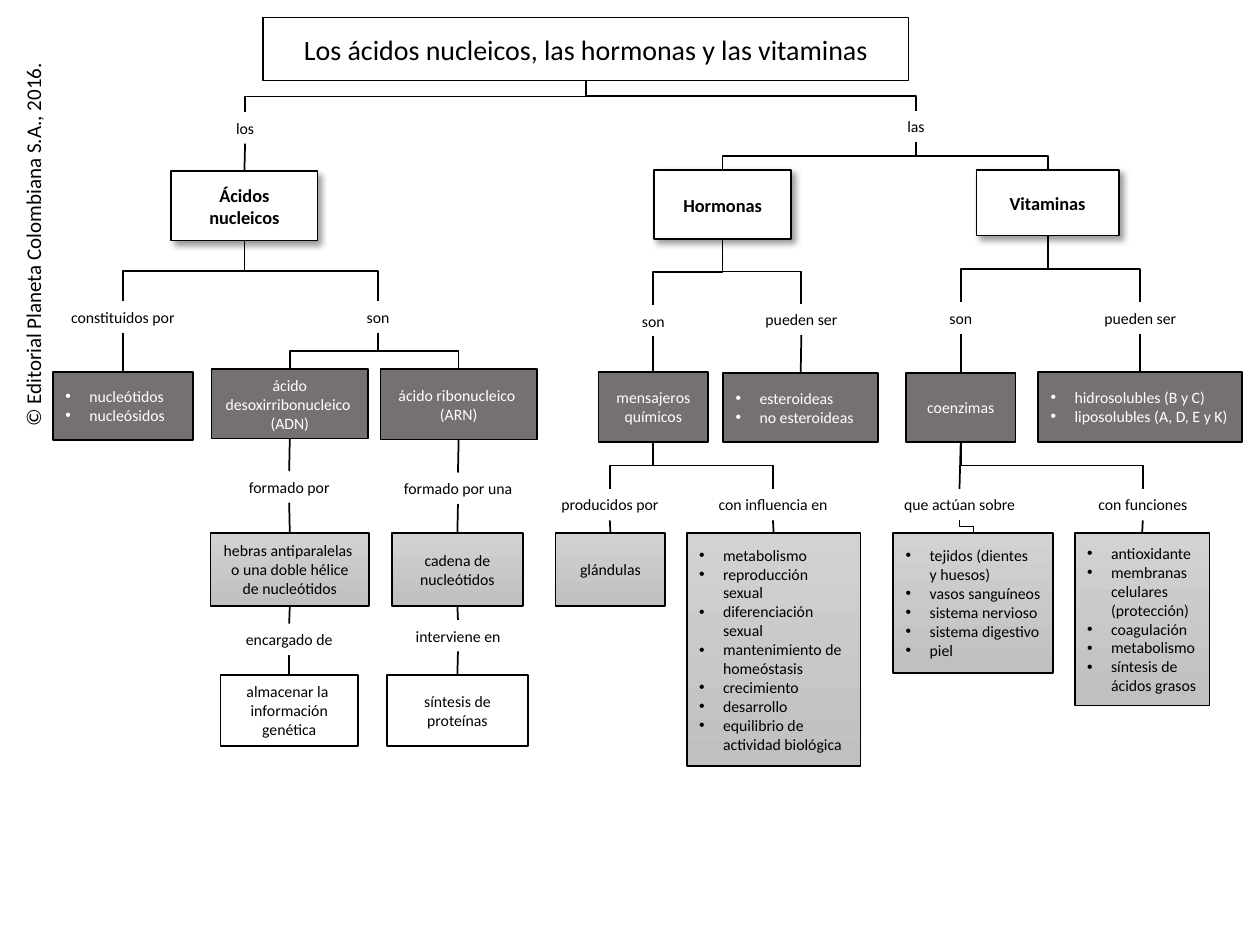
from lxml import etree
from pptx import Presentation, util as u
from pptx.dml import color
from pptx.enum import shapes, text
from pptx.oxml import ns

COLORS = {"ink": "000000", "paper": "FFFFFF", "dark": "767171",
          "light_top": "D2D2D2", "light_bottom": "C0C0C0"}
COLUMNS, ROWS = 100, 75


def rgb(name):
    return color.RGBColor.from_string(COLORS[name])


def add_child(parent, tag, **attributes):
    return etree.SubElement(parent, ns.qn(tag), attributes)


class ConceptMap:
    """Holds the style and the page of a concept map, measured in columns and rows."""

    def __init__(self, font="Calibri", size=9, stroke=1):
        self.deck = Presentation()
        self.deck.slide_width, self.deck.slide_height = u.Inches(10), u.Inches(7.5)
        self.page = self.deck.slides.add_slide(self.deck.slide_layouts[6])
        self.font, self.size, self.stroke = font, size, u.Pt(stroke)

    def place(self, left, top, width, height):
        column, row = self.deck.slide_width / COLUMNS, self.deck.slide_height / ROWS
        return [round(n) for n in (left * column, top * row, width * column, height * row)]

    def fill_text(self, box, words, ink="ink", size=None, bold=False, bullets=False):
        frame = box.text_frame
        frame.text = words
        frame.vertical_anchor = text.MSO_ANCHOR.MIDDLE
        for para in frame.paragraphs:
            para.alignment = text.PP_ALIGN.LEFT if bullets else text.PP_ALIGN.CENTER
            if bullets:
                props = para._p.get_or_add_pPr()
                indent = u.Inches(0.19)
                props.set("marL", str(indent))
                props.set("indent", str(-indent))
                add_child(props, "a:buFont", typeface="Arial")
                add_child(props, "a:buChar", char="•")
            for span in para.runs:
                span.font.name, span.font.bold = self.font, bold
                span.font.size = u.Pt(size or self.size)
                span.font.color.rgb = rgb(ink)

    def box(self, parent, at, words, fill="paper", shadow=False, **style):
        box = self.page.shapes.add_shape(shapes.MSO_SHAPE.RECTANGLE, *self.place(*at))
        if fill == "light":
            box.fill.gradient()
            box.fill.gradient_angle = 270
            for stop, name in zip(box.fill.gradient_stops, ("light_top", "light_bottom")):
                stop.color.rgb = rgb(name)
        else:
            box.fill.solid()
            box.fill.fore_color.rgb = rgb(fill)
        box.line.color.rgb, box.line.width = rgb("ink"), self.stroke
        box.shadow.inherit = False
        if shadow:
            effects = box._element.spPr.find(ns.qn("a:effectLst"))
            cast = add_child(effects, "a:outerShdw", blurRad=str(u.Pt(4)), dist=str(u.Pt(3)),
                             dir="2700000", algn="tl", rotWithShape="0")
            tone = add_child(cast, "a:srgbClr", val=COLORS["ink"])
            add_child(tone, "a:alpha", val="40000")
        self.fill_text(box, words, ink="paper" if fill == "dark" else "ink", **style)
        self.link(parent, box)
        return box

    def label(self, parent, left, top, width, words, **style):
        label = self.page.shapes.add_textbox(*self.place(left, top, width, 2.5))
        label.text_frame.word_wrap = False
        label.text_frame.auto_size = text.MSO_AUTO_SIZE.SHAPE_TO_FIT_TEXT
        self.fill_text(label, words, **style)
        self.link(parent, label)
        return label

    def link(self, parent, child):
        if parent is None:
            return
        x1, y1 = parent.left + parent.width // 2, parent.top + parent.height
        x2, y2 = child.left + child.width // 2, child.top
        across, down = abs(x2 - x1), y2 - y1
        if across < u.Inches(0.05):
            line = self.page.shapes.add_connector(shapes.MSO_CONNECTOR.STRAIGHT, x1, y1, x2, y2)
        else:
            left, top = (x1 + x2 - down) // 2, (y1 + y2 - across) // 2
            ends = [left, left + down] if x2 < x1 else [left + down, left]
            line = self.page.shapes.add_connector(
                shapes.MSO_CONNECTOR.ELBOW, ends[0], top, ends[1], top + across)
            turn = 90 if x2 < x1 else 270
            line._element.spPr.find(ns.qn("a:xfrm")).set("rot", str(turn * 60000))
        line.line.color.rgb, line.line.width = rgb("ink"), self.stroke
        add_child(line._element.spPr, "a:effectLst")


def draw_acids(chart, title):
    los = chart.label(title, 17.7, 8.9, 3.5, "los")
    acids = chart.box(los, (13.6, 13.6, 11.6, 5.5), "Ácidos nucleicos",
                      shadow=True, size=10.5, bold=True)
    made_of = chart.label(acids, 4.6, 23.9, 10.3, "constituidos por")
    chart.box(made_of, (4.2, 29.5, 11.1, 5.4), "nucleótidos\nnucleósidos", "dark", bullets=True)
    are = chart.label(acids, 28.1, 23.9, 3.8, "son")
    dna = chart.box(are, (16.8, 29.3, 12.4, 5.5), "ácido desoxirribonucleico \n(ADN)", "dark")
    formed = chart.label(dna, 18.7, 37.4, 8.5, "formado por")
    strands = chart.box(formed, (16.7, 42.3, 12.6, 5.8),
                        "hebras antiparalelas \no una doble hélice de nucleótidos", "light")
    task = chart.label(strands, 18.3, 49.5, 9.3, "encargado de")
    chart.box(task, (17.5, 53.6, 10.9, 5.6), "almacenar la \ninformación genética")
    rna = chart.box(are, (30.2, 29.3, 12.4, 5.6), "ácido ribonucleico \n(ARN)", "dark")
    formed = chart.label(rna, 31, 37.5, 10.7, "formado por una")
    chain = chart.box(formed, (31.1, 42.3, 10.4, 5.8), "cadena de nucleótidos", "light")
    task = chart.label(chain, 31.9, 49.2, 8.9, "interviene en")
    chart.box(task, (30.7, 53.6, 11.2, 5.6), "síntesis de proteínas")


def draw_hormones(chart, las):
    hormones = chart.box(las, (51.9, 13.5, 10.9, 5.5), "Hormonas",
                         shadow=True, size=10.5, bold=True)
    are = chart.label(hormones, 48.1, 24.2, 7.5, "son")
    messengers = chart.box(are, (47.5, 29.5, 8.7, 5.6), "mensajeros químicos", "dark")
    may_be = chart.label(hormones, 59.7, 24.1, 7.8, "pueden ser")
    chart.box(may_be, (57.4, 29.6, 12.3, 5.5), "esteroideas\nno esteroideas", "dark", bullets=True)
    made_by = chart.label(messengers, 43.5, 38.8, 9.8, "producidos por")
    chart.box(made_by, (44.1, 42.3, 8.7, 5.8), "glándulas", "light")
    influence = chart.label(messengers, 56, 38.8, 10.7, "con influencia en")
    effects = ("metabolismo", "reproducción sexual", "diferenciación sexual",
               "mantenimiento de homeóstasis", "crecimiento", "desarrollo",
               "equilibrio de actividad biológica")
    chart.box(influence, (54.5, 42.3, 13.8, 18.5), "\n".join(effects), "light", bullets=True)


def draw_vitamins(chart, las):
    vitamins = chart.box(las, (77.5, 13.5, 11.3, 5.2), "Vitaminas",
                         shadow=True, size=10.5, bold=True)
    are = chart.label(vitamins, 72.5, 24, 7.5, "son")
    coenzymes = chart.box(are, (71.9, 29.6, 8.7, 5.5), "coenzimas", "dark")
    may_be = chart.label(vitamins, 86.6, 24, 7.8, "pueden ser")
    chart.box(may_be, (82.4, 29.5, 16.2, 5.6),
              "hidrosolubles (B y C)\nliposolubles (A, D, E y K)", "dark", bullets=True)
    act_on = chart.label(coenzymes, 70.7, 38.8, 10.9, "que actúan sobre")
    targets = ("tejidos (dientes \vy huesos)", "vasos sanguíneos", "sistema nervioso",
               "sistema digestivo", "piel")
    chart.box(act_on, (70.9, 42.3, 12.7, 11.1), "\n".join(targets), "light", bullets=True)
    roles = chart.label(coenzymes, 86.1, 38.8, 9.2, "con funciones")
    functions = ("antioxidante", "membranas celulares (protección)", "coagulación",
                 "metabolismo", "síntesis de ácidos grasos")
    chart.box(roles, (85.3, 42.3, 10.7, 13.7), "\n".join(functions), "light", bullets=True)


def main():
    chart = ConceptMap()
    rights = chart.label(None, -13, 18.2, 31.2,
                         "© Editorial Planeta Colombiana S.A., 2016.", size=12)
    rights.rotation = 270
    title = chart.box(None, (20.9, 1.4, 51.2, 5),
                      "Los ácidos nucleicos, las hormonas y las vitaminas", size=16)
    draw_acids(chart, title)
    las = chart.label(title, 71, 8.8, 3.4, "las")
    draw_hormones(chart, las)
    draw_vitamins(chart, las)
    chart.deck.save("out.pptx")


if __name__ == "__main__":
    main()
